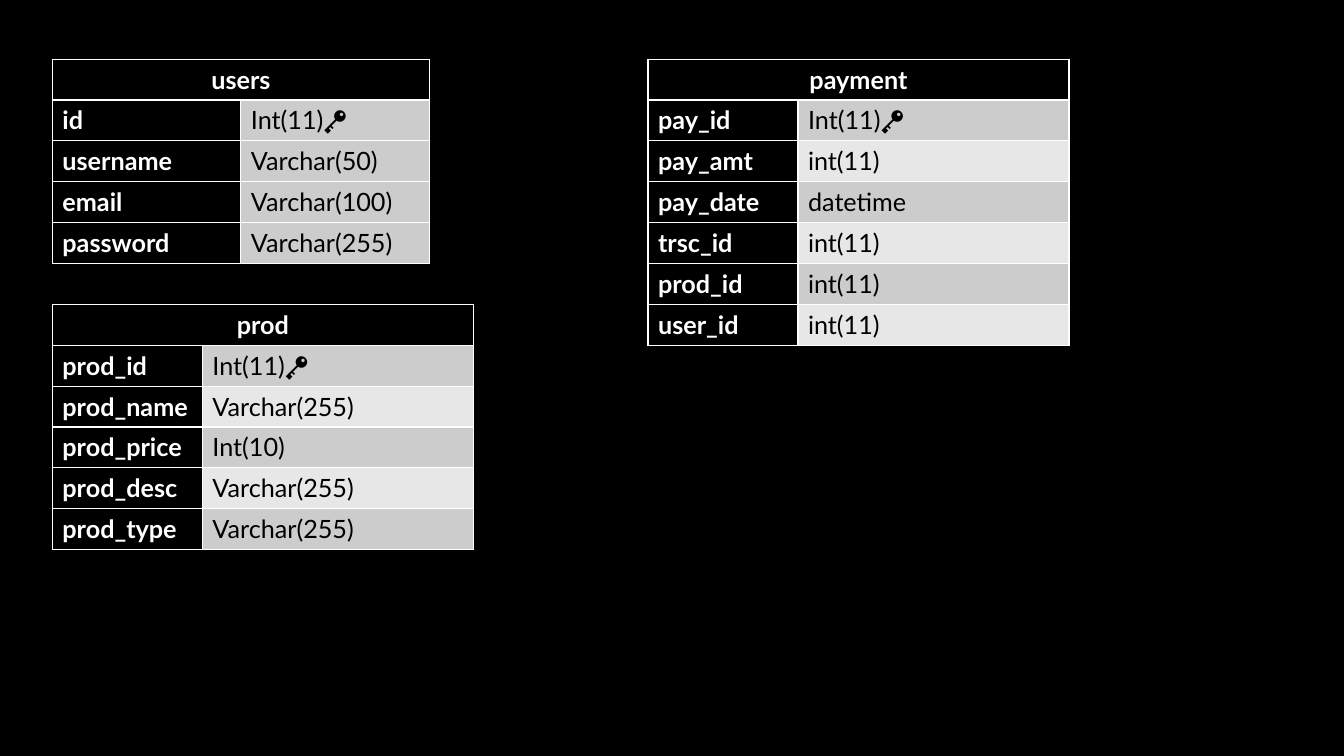
from lxml import etree
from pptx import Presentation
from pptx.dml.color import RGBColor
from pptx.enum.text import MSO_ANCHOR, PP_ALIGN
from pptx.oxml.ns import qn
from pptx.util import Cm, Pt

LEFT, CENTER = PP_ALIGN.LEFT, PP_ALIGN.CENTER
TOP = MSO_ANCHOR.TOP
BLANK_LAYOUT = 6

COLORS = {
    "black": "000000",
    "white": "FFFFFF",
    "dark_band": "CCCCCC",
    "light_band": "E7E7E7",
}
FONT = "Lato"
ROW_HEIGHT = 1.03
LEFT_COLUMN, RIGHT_COLUMN = 1.32, 16.33
UPPER_ROW, LOWER_ROW = 1.49, 7.67
EVEN_WIDTHS = (4.75, 4.75)
NARROW_WIDE = (3.78, 6.83)

USERS = [
    ("id", "Int(11)🔑"),
    ("username", "Varchar(50)"),
    ("email", "Varchar(100)"),
    ("password", "Varchar(255)"),
]
PROD = [
    ("prod_id", "Int(11)🔑"),
    ("prod_name", "Varchar(255)"),
    ("prod_price", "Int(10)"),
    ("prod_desc", "Varchar(255)"),
    ("prod_type", "Varchar(255)"),
]
PAYMENT = [
    ("pay_id", "Int(11)🔑"),
    ("pay_amt", "int(11)"),
    ("pay_date", "datetime"),
    ("trsc_id", "int(11)"),
    ("prod_id", "int(11)"),
    ("user_id", "int(11)"),
]


def rgb(name):
    return RGBColor.from_string(COLORS[name])


def write_text(frame, text, *, color="white", bold=True, align=LEFT, size=18):
    paragraph = frame.paragraphs[0]
    paragraph.alignment = align
    run = paragraph.add_run()
    run.text = text
    run.font.name = FONT
    run.font.size = Pt(size)
    run.font.bold = bold
    run.font.color.rgb = rgb(color)


def style_cell(cell, fill, sides="LRTB"):
    """Fill a cell and draw a white border on the given sides."""
    properties = cell._tc.get_or_add_tcPr()
    for side in sides:
        line = etree.SubElement(properties, qn(f"a:ln{side}"), w=str(Pt(1)))
        solid = etree.SubElement(line, qn("a:solidFill"))
        etree.SubElement(solid, qn("a:srgbClr"), val=COLORS["white"])
    cell.fill.solid()
    cell.fill.fore_color.rgb = rgb(fill)
    cell.vertical_anchor = TOP


def add_grid(slide, left, top, widths, row_count):
    table = slide.shapes.add_table(
        row_count, len(widths), Cm(left), Cm(top),
        Cm(sum(widths)), Cm(ROW_HEIGHT * row_count)).table
    table.first_row = table.horz_banding = False
    for column, width in zip(table.columns, widths):
        column.width = Cm(width)
    for row in table.rows:
        row.height = Cm(ROW_HEIGHT)
    return table


def fill_header(table, name, sides="LRTB"):
    cells = list(table.rows[0].cells)
    for cell in cells:
        style_cell(cell, "black", sides)
    if len(cells) > 1:
        cells[0].merge(cells[-1])
    write_text(cells[0].text_frame, name, align=CENTER)


def fill_fields(table, fields, bands, first_row=0):
    """Write field names and types, cycling through the band colours."""
    for index, (field, data_type) in enumerate(fields):
        name_cell, type_cell = table.rows[first_row + index].cells
        style_cell(name_cell, "black")
        write_text(name_cell.text_frame, field)
        style_cell(type_cell, bands[index % len(bands)])
        write_text(type_cell.text_frame, data_type, color="black", bold=False)


def add_entity(slide, name, fields, left, top):
    table = add_grid(slide, left, top, NARROW_WIDE, len(fields) + 1)
    fill_header(table, name)
    fill_fields(table, fields, ("dark_band", "light_band"), first_row=1)


def add_split_entity(slide, name, fields, left, top):
    """Add an entity whose header is a table of its own."""
    header = add_grid(slide, left, top, (sum(EVEN_WIDTHS),), 1)
    fill_header(header, name, sides="LRT")
    body = add_grid(slide, left, top + ROW_HEIGHT, EVEN_WIDTHS, len(fields))
    fill_fields(body, fields, ("dark_band",))


def main():
    presentation = Presentation()
    presentation.slide_width = Cm(33.87)
    presentation.slide_height = Cm(19.05)
    slide = presentation.slides.add_slide(
        presentation.slide_layouts[BLANK_LAYOUT])
    slide.background.fill.solid()
    slide.background.fill.fore_color.rgb = rgb("black")

    add_split_entity(slide, "users", USERS, LEFT_COLUMN, UPPER_ROW)
    add_entity(slide, "prod", PROD, LEFT_COLUMN, LOWER_ROW)
    add_entity(slide, "payment", PAYMENT, RIGHT_COLUMN, UPPER_ROW)
    presentation.save("out.pptx")


if __name__ == "__main__":
    main()
